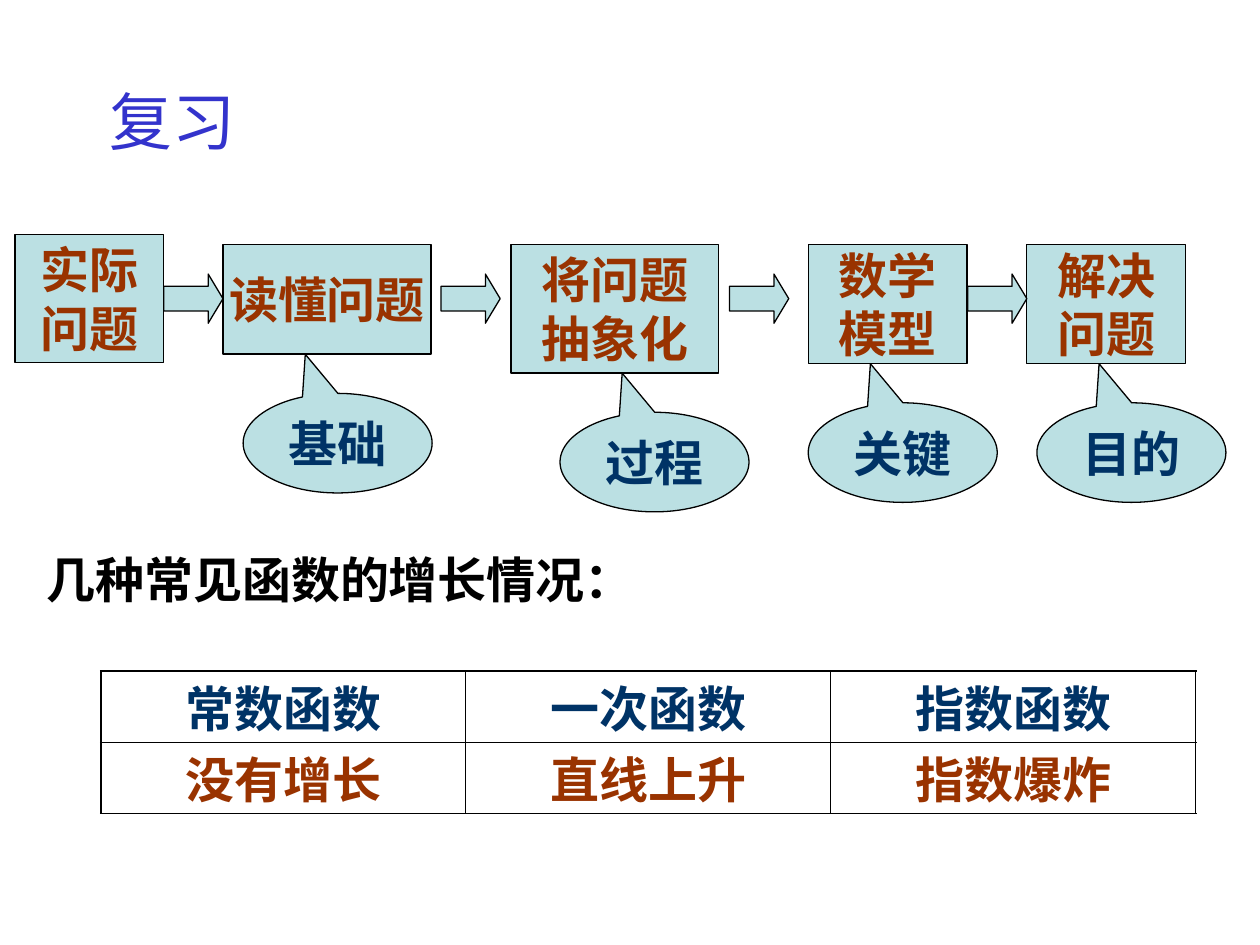
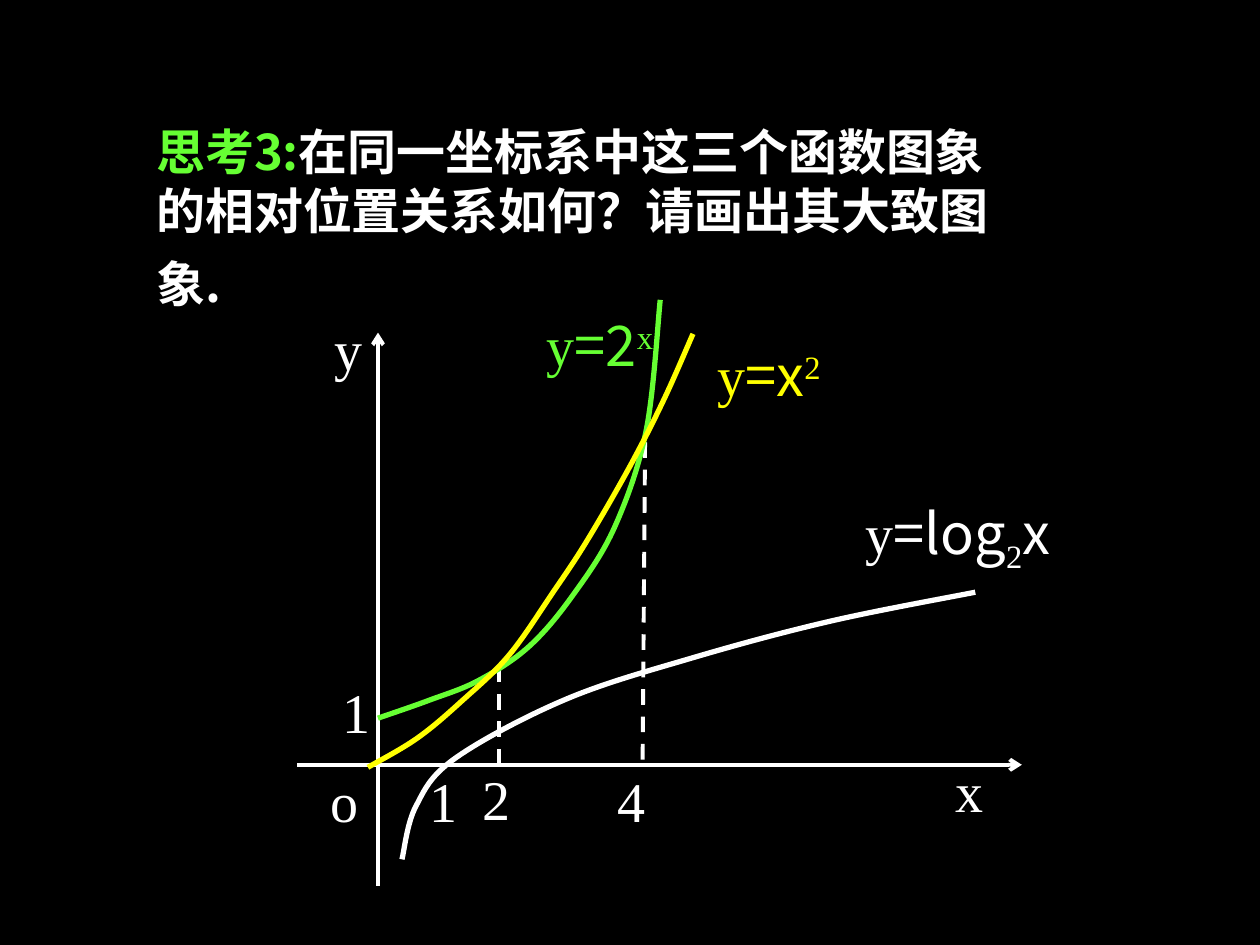
from dataclasses import dataclass

from lxml.etree import SubElement
from pptx import Presentation
from pptx.dml.color import RGBColor
from pptx.enum.dml import MSO_LINE
from pptx.enum.shapes import MSO_CONNECTOR, MSO_SHAPE
from pptx.enum.text import MSO_ANCHOR, MSO_AUTO_SIZE, PP_ALIGN
from pptx.oxml.ns import qn
from pptx.util import Inches, Pt

COLUMNS, ROWS = 100, 75
CELL = Inches(0.1)
SANS, SANS_WIDE, ARIAL, SERIF = (
    "Noto Sans CJK SC", "Noto Sans CJK JP", "Arial", "Times New Roman")
BLACK, WHITE, BLUE = "000000", "FFFFFF", "3333CC"
PALE_TEAL, BROWN, NAVY = "BBE0E3", "993300", "003366"
GREEN, YELLOW = "66FF33", "FFFF00"


@dataclass
class Box:
    """An area measured in grid columns and rows."""
    left: float
    top: float
    width: float
    height: float

    def inner(self, left, top, width, height):
        """Return an area placed relative to this one."""
        return Box(self.left + left, self.top + top, width, height)

    def point(self, column, row):
        """Return slide coordinates of a position in this area."""
        return round((self.left + column) * CELL), round((self.top + row) * CELL)

    def frame(self):
        """Return left, top, width and height for a shape."""
        return (*self.point(0, 0), round(self.width * CELL), round(self.height * CELL))


@dataclass
class TextRun:
    """A piece of text in one format."""
    text: str
    size: float
    font: str
    color: str
    bold: bool = False
    baseline: int = 0


def rgb(color):
    """Turn a hex string into a colour."""
    return RGBColor.from_string(color)


def add_run(paragraph, piece):
    """Add one formatted run to a paragraph."""
    run = paragraph.add_run()
    run.text = piece.text
    run.font.size = Pt(piece.size)
    run.font.bold = piece.bold
    run.font.color.rgb = rgb(piece.color)
    run.font.name = piece.font
    properties = run._r.get_or_add_rPr()
    east_asian = SANS if piece.font in (ARIAL, SERIF) else piece.font
    SubElement(properties, qn("a:ea")).set("typeface", east_asian)
    if piece.baseline:
        properties.set("baseline", str(piece.baseline * 1000))


def write(frame, paragraphs, alignment=PP_ALIGN.LEFT, anchor=MSO_ANCHOR.TOP, wrap=True):
    """Fill a text frame with paragraphs, each a list of runs."""
    frame.word_wrap = wrap
    frame.auto_size = MSO_AUTO_SIZE.NONE
    frame.vertical_anchor = anchor
    for index, pieces in enumerate(paragraphs):
        paragraph = frame.add_paragraph() if index else frame.paragraphs[0]
        paragraph.alignment = alignment
        for piece in pieces:
            add_run(paragraph, piece)


def place_title(slide, box, pieces, wrap=True):
    """Move the title placeholder into the box and fill it."""
    title = slide.shapes.title
    title.left, title.top, title.width, title.height = box.frame()
    write(title.text_frame, [pieces], wrap=wrap)


def add_label(slide, box, pieces):
    """Add a text box."""
    write(slide.shapes.add_textbox(*box.frame()).text_frame, [pieces])


def add_flow_shape(slide, kind, box, lines=(), color=BROWN, adjustments=(), wrap=False):
    """Add a pale outlined shape with centred bold lines of text."""
    shape = slide.shapes.add_shape(kind, *box.frame())
    shape.shadow.inherit = False
    shape.fill.solid()
    shape.fill.fore_color.rgb = rgb(PALE_TEAL)
    shape.line.color.rgb = rgb(BLACK)
    shape.line.width = Pt(0.75)
    for index, value in enumerate(adjustments):
        shape.adjustments[index] = value
    paragraphs = [[TextRun(line, 28, ARIAL, color, True)] for line in lines]
    write(shape.text_frame, paragraphs, PP_ALIGN.CENTER, MSO_ANCHOR.MIDDLE, wrap)


def add_flow(slide, box):
    """Draw the modelling steps, the arrows between them and their callouts."""
    steps = [
        (("实际", "问题"), (0, 0, 11.8, 10.2), None, 0),
        (("读懂问题",), (16.5, 0.8, 16.5, 8.7), "基础", 1.6),
        (("将问题", "抽象化"), (39.35, 0.8, 16.5, 10.2), "过程", 3.9),
        (("数学", "模型"), (62.95, 0.8, 12.6, 9.45), "关键", 0),
        (("解决", "问题"), (80.3, 0.8, 12.6, 9.45), "目的", 0.8),
    ]
    for lines, place, remark, shift in steps:
        step = box.inner(*place)
        add_flow_shape(slide, MSO_SHAPE.RECTANGLE, step, lines)
        if remark:
            callout = step.inner(shift, step.height + 3.12, 15, 7.9)
            add_flow_shape(slide, MSO_SHAPE.OVAL_CALLOUT, callout, [remark], NAVY,
                           (-0.171, -0.893), True)
    for left in (11.8, 33.8, 56.7, 75.6):
        add_flow_shape(slide, MSO_SHAPE.RIGHT_ARROW, box.inner(left, 3.15, 4.7, 3.9),
                       adjustments=(0.5, 0.3))


def set_border(cell, side, width):
    """Draw one border of a table cell."""
    line = SubElement(cell._tc.get_or_add_tcPr(), qn(f"a:ln{side}"), w=str(Pt(width)))
    fill = SubElement(line, qn("a:solidFill"))
    SubElement(fill, qn("a:srgbClr"), val=BLACK)


def add_growth_table(slide, box):
    """Add the table of functions and how they grow."""
    rows = [("常数函数", "一次函数", "指数函数"), ("没有增长", "直线上升", "指数爆炸")]
    row_count, column_count = len(rows), len(rows[0])
    table = slide.shapes.add_table(row_count, column_count, *box.frame()).table
    for row, (texts, color) in enumerate(zip(rows, (NAVY, BROWN))):
        for column, text in enumerate(texts):
            cell = table.cell(row, column)
            outer = {"L": column == 0, "R": column == column_count - 1,
                     "T": row == 0, "B": row == row_count - 1}
            for side, is_outer in outer.items():
                set_border(cell, side, 1.08 if is_outer else 0.45)
            cell.fill.solid()
            cell.fill.fore_color.rgb = rgb(WHITE)
            cell.margin_top, cell.margin_bottom = Inches(0.1), 0
            paragraph = cell.text_frame.paragraphs[0]
            paragraph.alignment = PP_ALIGN.CENTER
            paragraph.line_spacing = Pt(33)
            add_run(paragraph, TextRun(text, 28, ARIAL, color, True))


def add_line(slide, box, start, end, dashed=False, arrow=False):
    """Draw a straight white line, dashed or with an arrowhead."""
    line = slide.shapes.add_connector(
        MSO_CONNECTOR.STRAIGHT, *box.point(*start), *box.point(*end))
    line.line.color.rgb = rgb(WHITE)
    line.line.width = Pt(2.25)
    if dashed:
        line.line.dash_style = MSO_LINE.DASH
    if arrow:
        SubElement(line.line._get_or_add_ln(), qn("a:tailEnd"), type="arrow")
    SubElement(line._element.spPr, qn("a:effectLst"))


def smooth_path(shape):
    """Turn the straight segments of a freeform into smooth Bézier ones."""
    points = [(int(point.get("x")), int(point.get("y")))
              for point in shape._element.iter(qn("a:pt"))]
    padded = [points[0], *points, points[-1]]
    segments = list(shape._element.iter(qn("a:lnTo")))
    for segment, before, start, end, after in zip(
            segments, padded, padded[1:], padded[2:], padded[3:]):
        first = [b + (c - a) / 6 for a, b, c in zip(before, start, end)]
        second = [c - (d - b) / 6 for b, c, d in zip(start, end, after)]
        curve = segment.makeelement(qn("a:cubicBezTo"))
        for x, y in (first, second, end):
            SubElement(curve, qn("a:pt"), x=str(round(x)), y=str(round(y)))
        segment.getparent().replace(segment, curve)


def add_curve(slide, box, knots, color):
    """Draw the graph of a function through its knots."""
    points = [box.point(*knot) for knot in knots]
    builder = slide.shapes.build_freeform(*points[0])
    builder.add_line_segments(points[1:], close=False)
    curve = builder.convert_to_shape()
    smooth_path(curve)
    curve.shadow.inherit = False
    curve.fill.background()
    curve.line.color.rgb = rgb(color)
    curve.line.width = Pt(3)


def add_axes(slide, box):
    """Draw the axes, the dashed guides and the axis labels."""
    add_line(slide, box, (16, 29.1), (16, 36.9), dashed=True)
    add_line(slide, box, (27.6, 11.3), (27.4, 36.6), dashed=True)
    add_line(slide, box, (0, 36.9), (57.5, 36.9), arrow=True)
    add_line(slide, box, (6.4, 46.5), (6.4, 2.6), arrow=True)
    labels = [("x", 51.25, 35.75), ("y", 1.95, 0.65), ("o", 1.65, 36.55), ("1", 2.6, 29.45),
              ("1", 9.5, 36.55), ("2", 13.7, 36.4), ("4", 24.45, 36.55)]
    for text, left, top in labels:
        add_label(slide, box.inner(left, top, 5, 5.8), [TextRun(text, 32, SERIF, WHITE)])


def add_functions(slide, box):
    """Draw the three graphs with their formulas."""
    graphs = [
        (GREEN, (18.8, 0.35, 11),
         [("=2", SANS, 0), ("x", SERIF, 30)],
         [(6.4, 33.2), (10.4, 31.8), (14.4, 30.2), (18.4, 27.5), (21.9, 23.4),
          (25.2, 18), (27.7, 10.3), (28.8, 0)]),
        (YELLOW, (32.35, 2.7, 11.8),
         [("=x", SANS, 0), ("2", SERIF, 30)],
         [(5.6, 37.1), (9.5, 34.8), (13.1, 31.8), (16.8, 28.2), (20.3, 23.2),
          (23, 19.1), (26.4, 13.2), (29.1, 7.9), (31.4, 2.7)]),
        (WHITE, (44.1, 15.3, 19.1),
         [("=log", SANS, 0), ("2", SERIF, -25), ("x", SANS, 0)],
         [(8.3, 44.4), (9.4, 40.2), (12.5, 36.4), (21.3, 31.7), (31.4, 28.4),
          (42.3, 25.5), (53.8, 23.2)]),
    ]
    for color, (left, top, width), formula, knots in graphs:
        add_curve(slide, box, knots, color)
        pieces = [TextRun(text, 32, font, color, baseline=baseline)
                  for text, font, baseline in [("y", SERIF, 0), *formula]]
        add_label(slide, box.inner(left, top, width, 7.8), pieces)


def add_slide(presentation, background):
    """Add a title-only slide with a plain background."""
    slide = presentation.slides.add_slide(presentation.slide_layouts[5])
    slide.background.fill.solid()
    slide.background.fill.fore_color.rgb = rgb(background)
    return slide


def build_review(presentation, page):
    """Build the review slide."""
    slide = add_slide(presentation, WHITE)
    place_title(slide, page.inner(7.7, 6.05, 12.6, 7.9),
                [TextRun("复习", 36, SANS, BLUE)], False)
    add_flow(slide, page.inner(1.2, 18.6, 97, 22))
    add_label(slide, page.inner(2.7, 43.1, 51.2, 5.7),
              [TextRun("几种常见函数的增长情况：", 28, ARIAL, BLACK, True)])
    add_growth_table(slide, page.inner(8, 53.25, 86.9, 11.3))


def build_comparison(presentation, page):
    """Build the slide that compares three graphs."""
    slide = add_slide(presentation, BLACK)
    place_title(slide, page.inner(11.4, 9.15, 70.8, 16.4), [
        TextRun("思考3:", 28, SANS, GREEN, True),
        TextRun("在同一坐标系中这三个函数图象的相对位置关系如何？请画出其大致图象.",
                28, SANS, WHITE, True),
        TextRun(" ", 36, SANS_WIDE, WHITE, True)])
    plot = page.inner(23.6, 23.8, 64, 47)
    add_axes(slide, plot)
    add_functions(slide, plot)


def main():
    """Build and save the presentation."""
    presentation = Presentation()
    presentation.slide_width, presentation.slide_height = COLUMNS * CELL, ROWS * CELL
    page = Box(0, 0, COLUMNS, ROWS)
    build_review(presentation, page)
    build_comparison(presentation, page)
    presentation.save("out.pptx")


if __name__ == "__main__":
    main()
